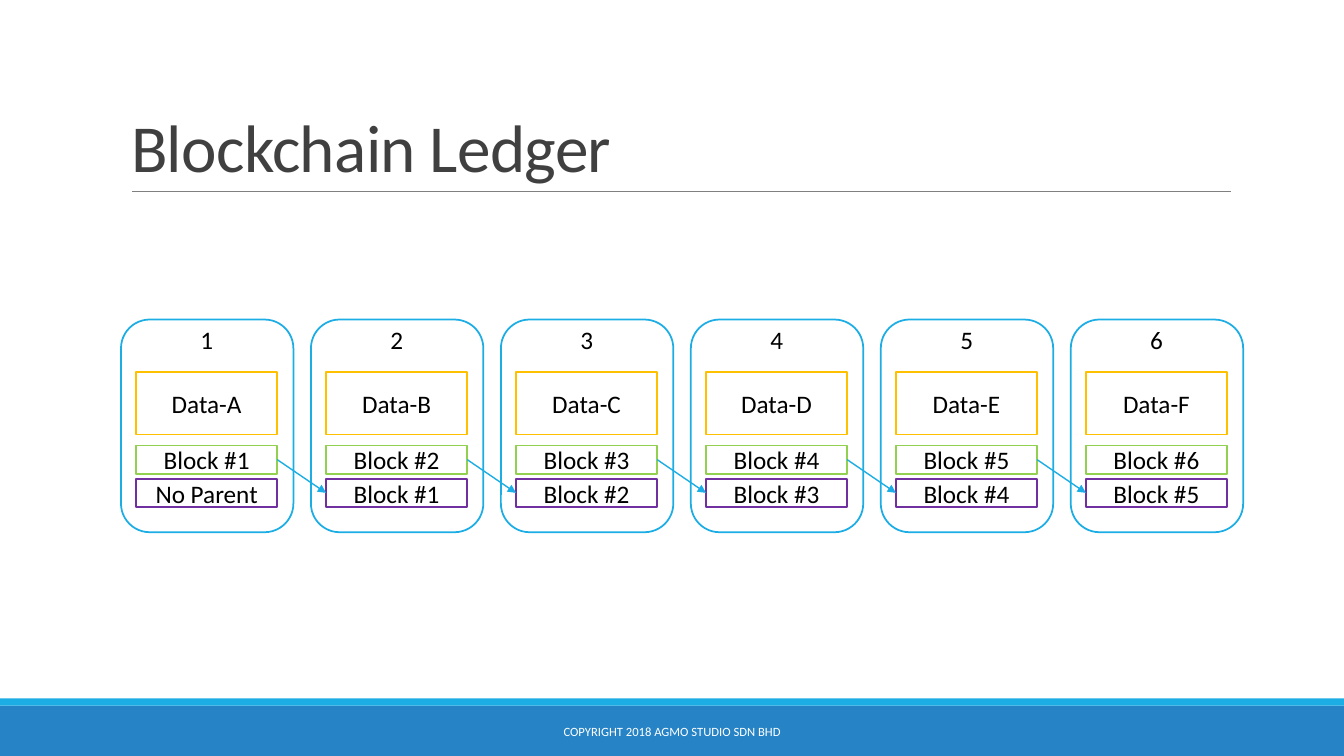
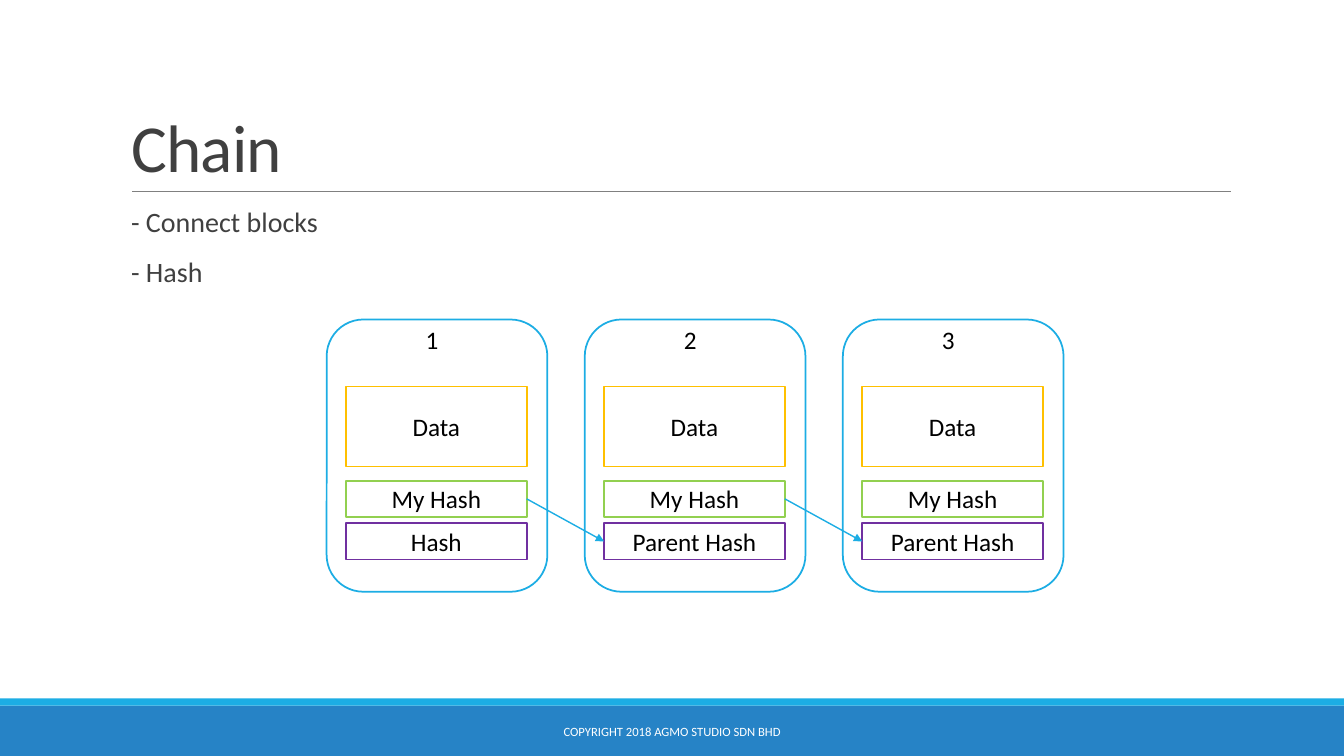
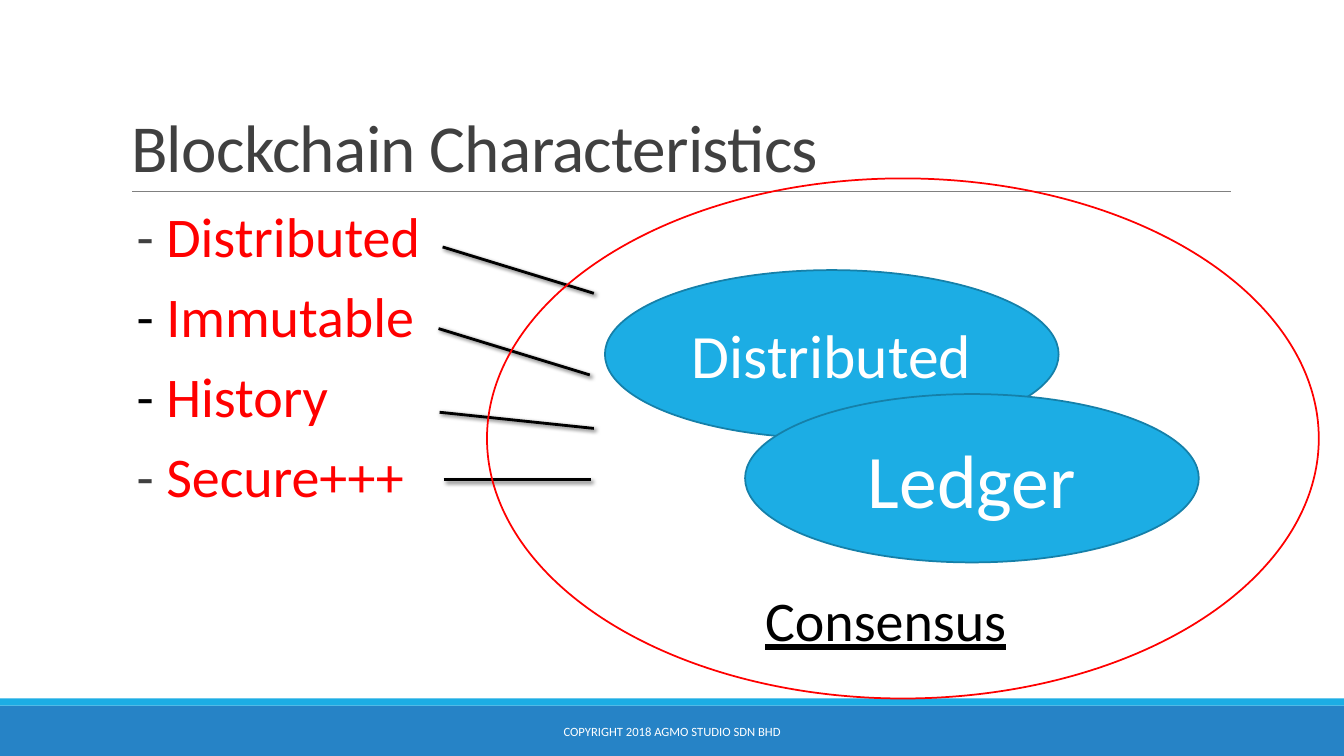
from lxml.etree import SubElement
from pptx import Presentation
from pptx.dml.color import RGBColor
from pptx.enum.shapes import MSO_CONNECTOR, MSO_SHAPE
from pptx.enum.text import MSO_ANCHOR, MSO_AUTO_SIZE, PP_ALIGN
from pptx.oxml.ns import qn
from pptx.util import Inches, Pt

# Palette
BLUE, DEEP_BLUE, EDGE_BLUE = "1CADE4", "2683C6", "1580A9"
GOLD, GREEN, PURPLE, RED = "FFC000", "92D050", "7030A0", "FF0000"
BLACK, WHITE, DARK, GREY = "000000", "FFFFFF", "404040", "808080"

TITLE_ONLY, TITLE_AND_BODY = 5, 1
RIGHT, LEFT = 3, 1


def rgb(value):
    return RGBColor.from_string(value)


def apply(obj, values):
    for name, value in values.items():
        setattr(obj, name, value)


class Deck:
    """Holds the presentation style and the slide being built."""

    font = "Calibri"
    footer = "COPYRIGHT 2018 AGMO STUDIO SDN BHD"

    def __init__(self):
        self.prs = Presentation()
        apply(self.prs, {"slide_width": Inches(13.33), "slide_height": Inches(7.5)})
        self.s = None

    def place(self, sp, left, top, width, height):
        apply(sp, {"left": Inches(left), "top": Inches(top),
                   "width": Inches(width), "height": Inches(height)})

    def run(self, p, text, size, color, **extra):
        r = p.add_run()
        r.text = text
        apply(r.font, {"name": self.font, "size": Pt(size), **extra})
        r.font.color.rgb = rgb(color)
        return r

    def slide(self, title, layout=TITLE_ONLY):
        self.s = self.prs.slides.add_slide(self.prs.slide_layouts[layout])
        # Bands, title rule and footer
        self.shape((0, 7, 13.33, 0.5), fill=DEEP_BLUE)
        self.shape((0, 6.93, 13.33, 0.07), fill=BLUE)
        self.line((1.31, 1.9), (12.21, 1.9), GREY, 0.5)
        self.shape((4.03, 7.06, 5.27, 0.4), text=self.footer, size=9, color=WHITE)
        # Title
        sp = self.s.shapes.title
        self.place(sp, 1.2, 0.31, 11, 1.59)
        apply(sp.text_frame, {"vertical_anchor": MSO_ANCHOR.BOTTOM, "word_wrap": True,
                              "auto_size": MSO_AUTO_SIZE.NONE})
        p = sp.text_frame.paragraphs[0]
        apply(p, {"alignment": PP_ALIGN.LEFT, "line_spacing": 0.85})
        r = self.run(p, title, 48, DARK)
        r.font._element.set("spc", "-50")

    def body(self, items, size):
        """Each item is a list of (text, colour) runs."""
        sp = self.s.placeholders[1]
        self.place(sp, 1.2, 2.02, 11, 4.4)
        tf = sp.text_frame
        apply(tf, {"margin_left": 0, "margin_right": 0, "word_wrap": True,
                   "auto_size": MSO_AUTO_SIZE.NONE, "vertical_anchor": MSO_ANCHOR.TOP})
        for i, runs in enumerate(items):
            p = tf.add_paragraph() if i else tf.paragraphs[0]
            pPr = p._p.get_or_add_pPr()
            apply_indent = {"marL": Inches(0.1), "indent": Inches(-0.1)}
            for name, value in apply_indent.items():
                pPr.set(name, str(int(value)))
            SubElement(SubElement(pPr, qn("a:buClr")), qn("a:srgbClr"), val=BLUE)
            SubElement(pPr, qn("a:buChar"), char=" ")
            apply(p, {"line_spacing": 0.9, "space_after": Pt(2),
                      "space_before": Pt(12 if i else 0)})
            for text, color in runs:
                self.run(p, text, size, color)

    def shape(self, box, kind=MSO_SHAPE.RECTANGLE, fill=None, edge=None,
              text=None, size=18, color=BLACK):
        sp = self.s.shapes.add_shape(kind, *map(Inches, box))
        sp.shadow.inherit = False
        if fill:
            sp.fill.solid()
            sp.fill.fore_color.rgb = rgb(fill)
        else:
            sp.fill.background()
        if edge:
            sp.line.color.rgb = rgb(edge)
            sp.line.width = Pt(1.25)
        else:
            sp.line.fill.background()
        if text:
            sp.text_frame.vertical_anchor = MSO_ANCHOR.MIDDLE
            p = sp.text_frame.paragraphs[0]
            p.alignment = PP_ALIGN.CENTER
            self.run(p, text, size, color)
        return sp

    def label(self, box, text, size=18, **extra):
        sp = self.s.shapes.add_textbox(*map(Inches, box))
        apply(sp.text_frame, {"word_wrap": False,
                              "auto_size": MSO_AUTO_SIZE.SHAPE_TO_FIT_TEXT})
        self.run(sp.text_frame.paragraphs[0], text, size, BLACK, **extra)

    def line(self, start, end, color, width, shadow=False):
        c = self.s.shapes.add_connector(MSO_CONNECTOR.STRAIGHT,
                                        *map(Inches, (*start, *end)))
        c.line.color.rgb = rgb(color)
        c.line.width = Pt(width)
        effects = SubElement(c._element.spPr, qn("a:effectLst"))
        if shadow:
            outer = SubElement(effects, qn("a:outerShdw"), blurRad=str(Pt(3)),
                               dist=str(Pt(2)), dir="2700000", rotWithShape="0")
            tint = SubElement(outer, qn("a:srgbClr"), val=BLACK)
            SubElement(tint, qn("a:alpha"), val="60000")
        return c

    def arrow(self, source, target):
        c = self.line((0, 0), (1, 1), BLUE, 1)
        c.begin_connect(source, RIGHT)
        c.end_connect(target, LEFT)
        SubElement(c.line._get_or_add_ln(), qn("a:tailEnd"), type="triangle")

    def block(self, left, scale, number, data, own, parent):
        """Draws one block and returns its own and parent hash boxes."""
        top = 3.17

        def box(x, y, w, h):
            return left + x * scale, top + y * scale, w * scale, h * scale

        self.shape(box(0, 0, 1.71, 2.11), MSO_SHAPE.ROUNDED_RECTANGLE, edge=BLUE)
        self.shape(box(0.15, 0.52, 1.4, 0.62), fill=WHITE, edge=GOLD, text=data)
        self.label(box(0.69, 0, 0.33, 0.4), str(number))
        return (self.shape(box(0.15, 1.25, 1.4, 0.28), edge=GREEN, text=own),
                self.shape(box(0.15, 1.58, 1.4, 0.28), edge=PURPLE, text=parent))

    def chain(self, first, last, scale, rows):
        """Spreads blocks evenly and links each one to the next."""
        step = (last - first) / (len(rows) - 1)
        blocks = [self.block(first + i * step, scale, i + 1, *row)
                  for i, row in enumerate(rows)]
        for (own, _), (_, parent) in zip(blocks, blocks[1:]):
            self.arrow(own, parent)


def main():
    deck = Deck()

    # Slide 1: ledger of six blocks
    deck.slide("Blockchain Ledger")
    deck.chain(1.2, 10.62, 1, [
        (f"Data-{letter}", f"Block #{n}", f"Block #{n - 1}" if n > 1 else "No Parent")
        for n, letter in enumerate("ABCDEF", 1)])

    # Slide 2: chain of hashes
    deck.slide("Chain", TITLE_AND_BODY)
    deck.body([[("- Connect blocks", DARK)], [("- Hash", DARK)]], 20)
    deck.chain(3.24, 8.36, 1.28, [
        ("Data", "My Hash", parent) for parent in ("Hash", "Parent Hash", "Parent Hash")])

    # Slide 3: characteristics
    deck.slide("Blockchain Characteristics", TITLE_AND_BODY)
    traits = [("Distributed", DARK), ("Immutable", BLACK),
              ("History", BLACK), ("Secure+++", DARK)]
    deck.body([[("- ", dash), (trait, RED)] for trait, dash in traits], 40)
    for start, end in [((4.39, 2.45), (5.89, 2.91)), ((4.35, 3.26), (5.85, 3.72)),
                       ((4.36, 4.09), (5.89, 4.25)), ((4.4, 4.76), (5.86, 4.76))]:
        deck.line(start, end, BLACK, 2, shadow=True)
    for left, top, text, size in [(6, 2.68, "Distributed", 44), (7.39, 3.91, "Ledger", 54)]:
        deck.shape((left, top, 4.5, 1.67), MSO_SHAPE.OVAL, BLUE, EDGE_BLUE,
                   text, size, WHITE)
    deck.shape((4.83, 1.77, 8.25, 5.16), MSO_SHAPE.OVAL, edge=RED)
    deck.label((7.49, 5.76, 2.62, 0.77), "Consensus", 40, underline=True)

    deck.prs.save("out.pptx")


if __name__ == "__main__":
    main()
